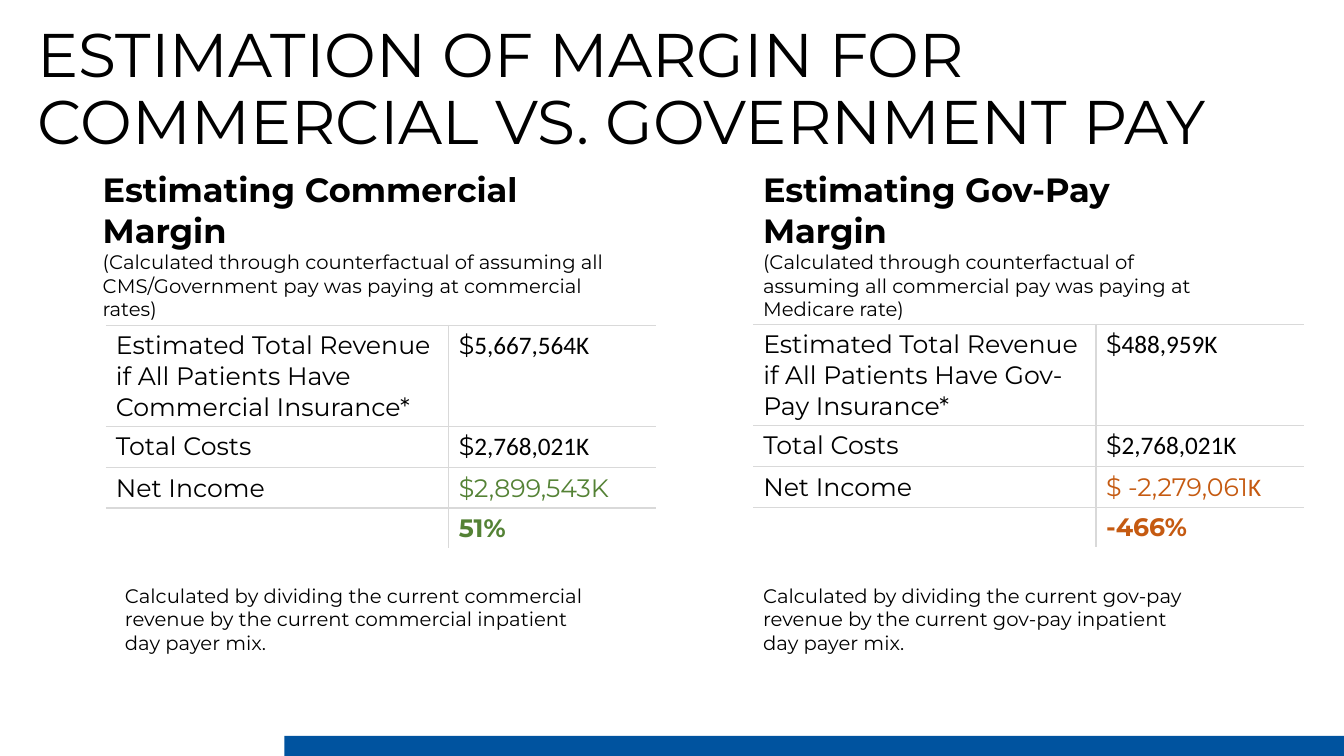
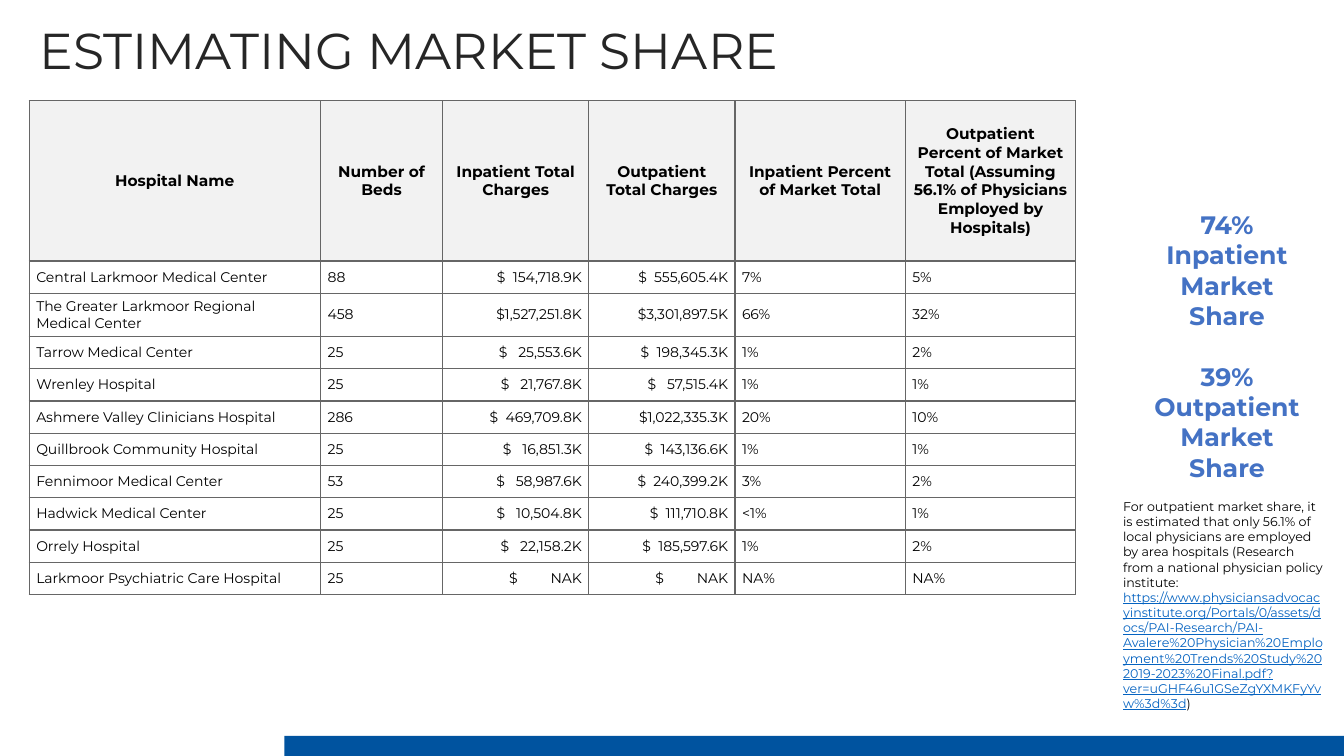
from lxml import etree
from pptx import Presentation
from pptx.dml.color import RGBColor
from pptx.enum.shapes import MSO_SHAPE
from pptx.enum.text import MSO_ANCHOR, MSO_AUTO_SIZE, PP_ALIGN
from pptx.oxml.ns import qn
from pptx.util import Inches, Pt

RECTANGLE = MSO_SHAPE.RECTANGLE
TOP, MIDDLE = MSO_ANCHOR.TOP, MSO_ANCHOR.MIDDLE
NO_AUTOFIT = MSO_AUTO_SIZE.NONE
LEFT, CENTER, RIGHT = PP_ALIGN.LEFT, PP_ALIGN.CENTER, PP_ALIGN.RIGHT

SANS, FIGURES = "Montserrat", "Calibri"
BLACK, INK, BAND = "000000", "262626", "00539F"
GAIN, LOSS, ACCENT, LINK = "548235", "C55A11", "4472C4", "0563C1"
RULE, GRID, HEADER = "D9D9D9", "666666", "F2F2F2"
PLAIN_TABLE = "{2D5ABB26-0587-4C30-8999-92F81FD0307C}"

COMMERCIAL = {
    "heading": "Estimating Commercial Margin",
    "method": "(Calculated through counterfactual of assuming all CMS/Government pay "
              "was paying at commercial rates)",
    "labels": ["Estimated Total Revenue if All Patients Have Commercial Insurance*",
               "Total Costs", "Net Income", ""],
    "values": [[("$", SANS), ("5,667,564K", FIGURES)], [("$", SANS), ("2,768,021K", FIGURES)],
               [("$2,899,543K", SANS)], [("51%", SANS)]],
    "color": GAIN,
    "note": "Calculated by dividing the current commercial revenue by the current "
            "commercial inpatient day payer mix.",
}
GOV_PAY = {
    "heading": "Estimating Gov-Pay Margin",
    "method": "(Calculated through counterfactual of assuming all commercial pay "
              "was paying at Medicare rate)",
    "labels": ["Estimated Total Revenue if All Patients Have Gov-Pay Insurance*",
               "Total Costs", "Net Income", ""],
    "values": [[("$", SANS), ("488,959K", FIGURES)], [("$", SANS), ("2,768,021K", FIGURES)],
               [("$ -2,279,061", SANS), ("K", FIGURES)], [("-466%", SANS)]],
    "color": LOSS,
    "note": "Calculated by dividing the current gov-pay revenue by the current "
            "gov-pay inpatient day payer mix.",
}
HOSPITAL_COLUMNS = [
    "Hospital Name", "Number of Beds", "Inpatient Total Charges", "Outpatient Total Charges",
    "Inpatient Percent of Market Total",
    "Outpatient Percent of Market Total (Assuming 56.1% of Physicians Employed by Hospitals)",
]
HOSPITALS = [
    ("Central Larkmoor Medical Center", "88", "154,718.9K", "555,605.4K", "7%", "5%"),
    ("The Greater Larkmoor Regional Medical Center", "458", "1,527,251.8K", "3,301,897.5K", "66%", "32%"),
    ("Tarrow Medical Center", "25", "25,553.6K", "198,345.3K", "1%", "2%"),
    ("Wrenley Hospital", "25", "21,767.8K", "57,515.4K", "1%", "1%"),
    ("Ashmere Valley Clinicians Hospital", "286", "469,709.8K", "1,022,335.3K", "20%", "10%"),
    ("Quillbrook Community Hospital", "25", "16,851.3K", "143,136.6K", "1%", "1%"),
    ("Fennimoor Medical Center", "53", "58,987.6K", "240,399.2K", "3%", "2%"),
    ("Hadwick Medical Center", "25", "10,504.8K", "111,710.8K", "<1%", "1%"),
    ("Orrely Hospital", "25", "22,158.2K", "185,597.6K", "1%", "2%"),
    ("Larkmoor Psychiatric Care Hospital", "25", "NAK", "NAK", "NA%", "NA%"),
]
CHARGE_COLUMNS = (2, 3)
CHARGE_DIGITS = 11
HALF_SPACE = 130
SOURCE_INTRO = ("For outpatient market share, it is estimated that only 56.1% of local physicians "
                "are employed by area hospitals (Research from a national physician policy institute: ")
SOURCE_URL = ("https://www.physiciansadvocacyinstitute.org/Portals/0/assets/docs/PAI-Research/"
              "PAI-Avalere%20Physician%20Employment%20Trends%20Study%202019-2023%20Final.pdf"
              "?ver=uGHF46u1GSeZgYXMKFyYvw%3d%3d")


def rgb(color):
    return RGBColor.from_string(color)


def style(font, size, color=BLACK, bold=False, name=SANS):
    font.name, font.size, font.bold = name, Pt(size), bold
    font.color.rgb = rgb(color)


def add_text(slide, box, paragraphs, align=LEFT, gap=0):
    tf = slide.shapes.add_textbox(*map(Inches, box)).text_frame
    tf.word_wrap = True
    for i, (text, size, color, bold) in enumerate(paragraphs):
        p = tf.add_paragraph() if i else tf.paragraphs[0]
        p.text, p.alignment = text, align
        if i and gap:
            p.space_before = Pt(gap)
        style(p.font, size, color, bold)
    return tf


def add_base(prs, title, box, size, color):
    slide = prs.slides.add_slide(prs.slide_layouts[5])
    sp = slide.shapes.title
    sp.left, sp.top, sp.width, sp.height = map(Inches, box)
    tf = sp.text_frame
    tf.text = title
    tf.word_wrap, tf.auto_size, tf.vertical_anchor = True, NO_AUTOFIT, MIDDLE
    for p in tf.paragraphs:
        p.alignment, p.line_spacing = LEFT, 0.9
        style(p.font, size, color)
    band = slide.shapes.add_shape(RECTANGLE, Inches(2.82), Inches(7.3), Inches(10.51), Inches(0.2))
    band.shadow.inherit = False
    band.fill.solid()
    band.fill.fore_color.rgb = rgb(BAND)
    band.line.fill.background()
    return slide


def add_plain_table(slide, left, top, widths, heights):
    frame = slide.shapes.add_table(len(heights), len(widths), Inches(left), Inches(top),
                                   Inches(sum(widths)), Inches(sum(heights)))
    table = frame.table
    table.first_row = table.horz_banding = False
    table._tbl.tblPr.find(qn("a:tableStyleId")).text = PLAIN_TABLE
    for column, width in zip(table.columns, widths):
        column.width = Inches(width)
    for row, height in zip(table.rows, heights):
        row.height = Inches(height)
    return table


def format_cell(cell, sides, line, fill=None, anchor=TOP):
    tcPr = cell._tc.get_or_add_tcPr()
    for side in sides:
        ln = etree.SubElement(tcPr, qn("a:ln" + side), w=str(Pt(1)))
        solid = etree.SubElement(ln, qn("a:solidFill"))
        etree.SubElement(solid, qn("a:srgbClr"), val=line)
    if fill:
        cell.fill.solid()
        cell.fill.fore_color.rgb = rgb(fill)
    else:
        cell.fill.background()
    cell.vertical_anchor = anchor


def add_margin_table(slide, left, top, data):
    table = add_plain_table(slide, left, top, [3.4, 2.06], [1, 0.41, 0.4, 0.4])
    last = len(data["labels"]) - 1
    for i, (label, value) in enumerate(zip(data["labels"], data["values"])):
        sides = "T" if i == last else "TB"
        color = data["color"] if i >= last - 1 else BLACK
        label_cell, value_cell = table.cell(i, 0), table.cell(i, 1)
        format_cell(label_cell, "R" + sides, RULE)
        format_cell(value_cell, "L" + sides, RULE)
        label_cell.text = label
        style(label_cell.text_frame.paragraphs[0].font, 18)
        p = value_cell.text_frame.paragraphs[0]
        for text, name in value:
            r = p.add_run()
            r.text = text
            style(r.font, 18, color, i == last, name)


def add_margin_panel(slide, left, width, table_at, note_box, data):
    add_text(slide, (left, 1.63, width, 1.62),
             [(data["heading"], 24, BLACK, True), (data["method"], 14, BLACK, False)])
    add_margin_table(slide, *table_at, data)
    add_text(slide, note_box, [(data["note"], 14, BLACK, False)])


def write_charge(p, amount):
    p.alignment = RIGHT
    missing = CHARGE_DIGITS - len(amount)
    sign = p.add_run()
    sign.text = "$ " if missing > 0 else "$"
    if missing > 0:
        sign.font._element.set("spc", str(HALF_SPACE * missing))
    p.add_run().text = amount


def add_hospital_table(slide, left, top):
    heights = [1.59] + [0.43 if row[0].startswith("The ") else 0.32 for row in HOSPITALS]
    table = add_plain_table(slide, left, top, [2.89, 1.21, 1.45, 1.45, 1.69, 1.69], heights)
    for i, row in enumerate([HOSPITAL_COLUMNS, *HOSPITALS]):
        header = i == 0
        for j, text in enumerate(row):
            cell = table.cell(i, j)
            format_cell(cell, "LRTB", GRID, HEADER if header else None, MIDDLE)
            cell.margin_left = cell.margin_right = Inches(0.07)
            cell.margin_top = cell.margin_bottom = 0
            p = cell.text_frame.paragraphs[0]
            if j in CHARGE_COLUMNS and not header:
                write_charge(p, text)
            else:
                p.text, p.alignment = text, CENTER if header else LEFT
            style(p.font, 11 if header else 10, bold=header)


def add_source_note(slide, box):
    tf = add_text(slide, box, [(SOURCE_INTRO, 9, BLACK, False)])
    p = tf.paragraphs[0]
    for text, color in ((SOURCE_URL, LINK), (")", BLACK)):
        r = p.add_run()
        r.text = text
        r.font.color.rgb = rgb(color)
        r.font.underline = color == LINK


def build_margin_slide(prs):
    slide = add_base(prs, "ESTIMATION OF MARGIN FOR \vCOMMERCIAL VS. GOVERNMENT PAY",
                     (0.27, 0.18, 12.15, 1.45), 44, BLACK)
    add_margin_panel(slide, 0.92, 5.19, (1.05, 3.23), (1.14, 5.74, 4.81, 0.81), COMMERCIAL)
    add_margin_panel(slide, 7.47, 4.77, (7.47, 3.22), (7.47, 5.74, 4.5, 0.81), GOV_PAY)


def build_share_slide(prs):
    slide = add_base(prs, "ESTIMATING MARKET SHARE", (0.29, -0.2, 12.12, 1.45), 36, INK)
    add_hospital_table(slide, 0.29, 1)
    add_text(slide, (11.3, 2.03, 1.74, 2.83),
             [("74% Inpatient Market Share", 18, ACCENT, True),
              ("39% Outpatient Market Share", 18, ACCENT, True)], CENTER, gap=22)
    add_source_note(slide, (11.04, 4.9, 2.18, 2.37))


def main():
    prs = Presentation()
    prs.slide_width, prs.slide_height = Inches(13.33), Inches(7.5)
    build_margin_slide(prs)
    build_share_slide(prs)
    prs.save("out.pptx")


if __name__ == "__main__":
    main()
